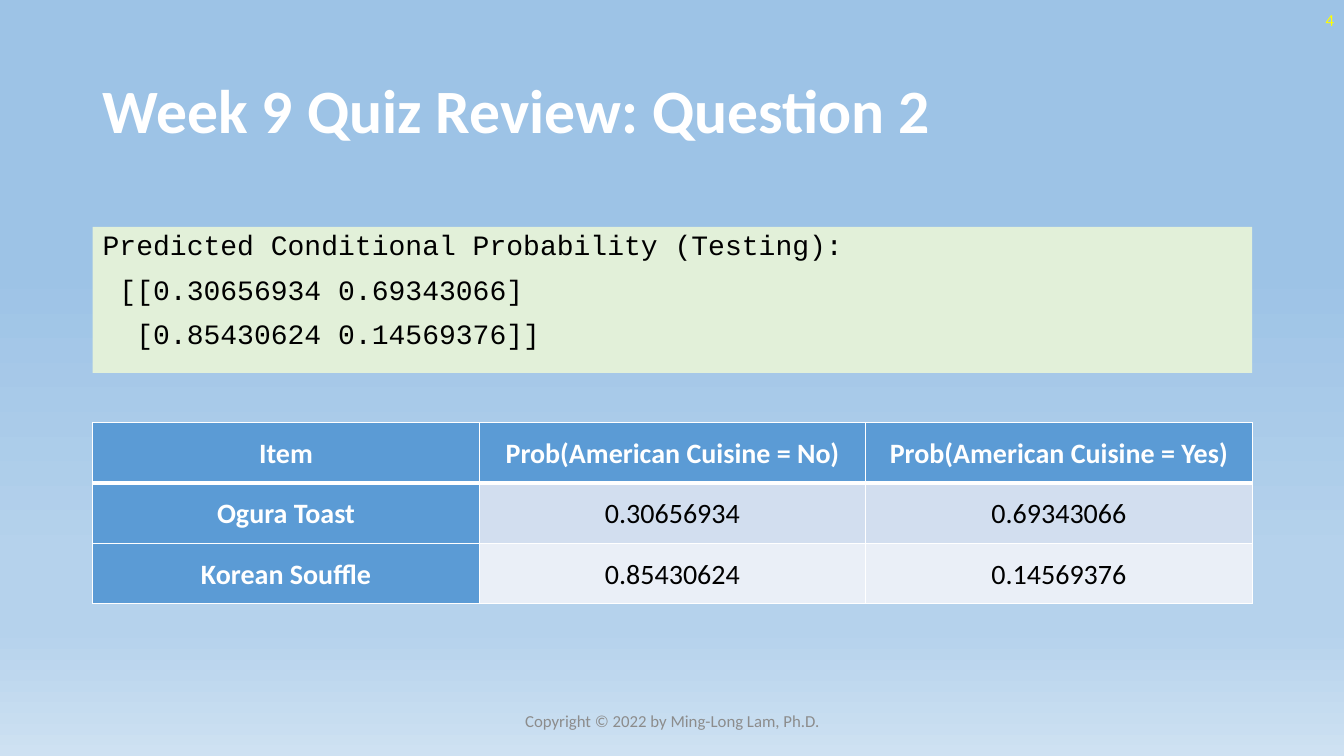
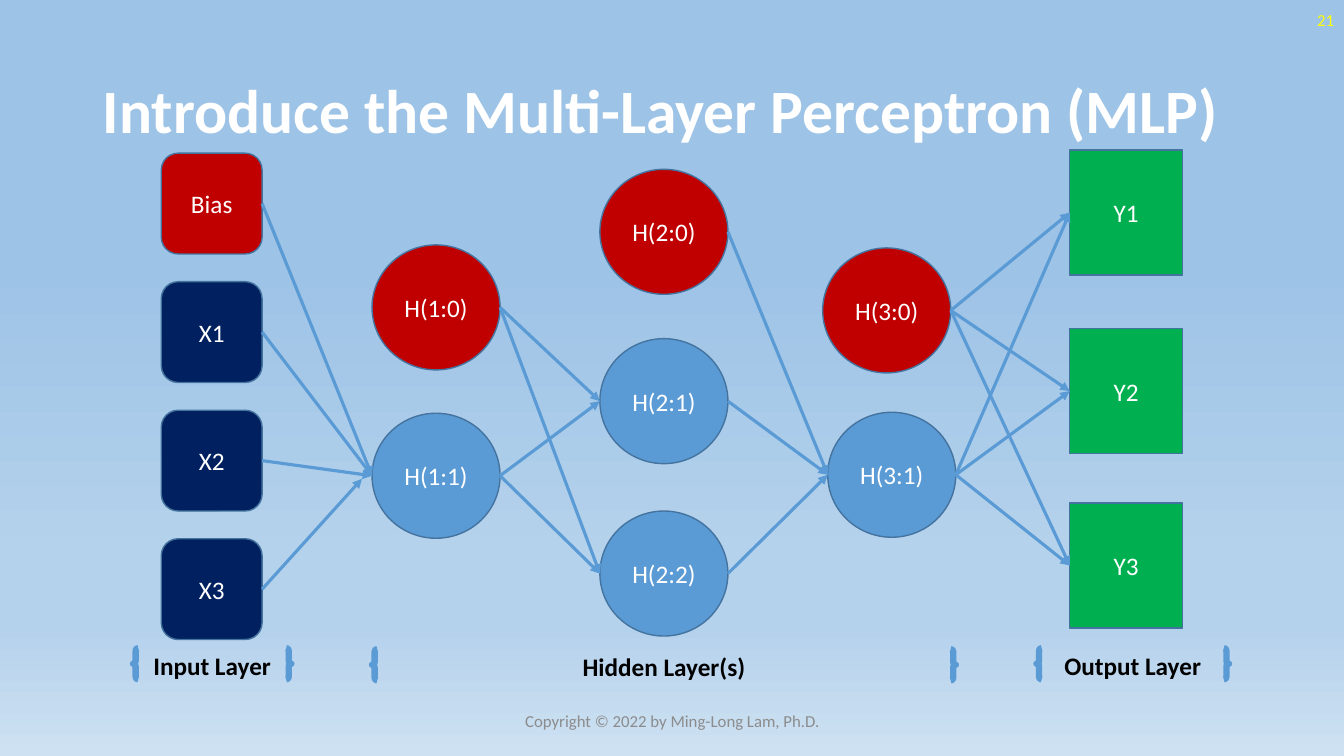
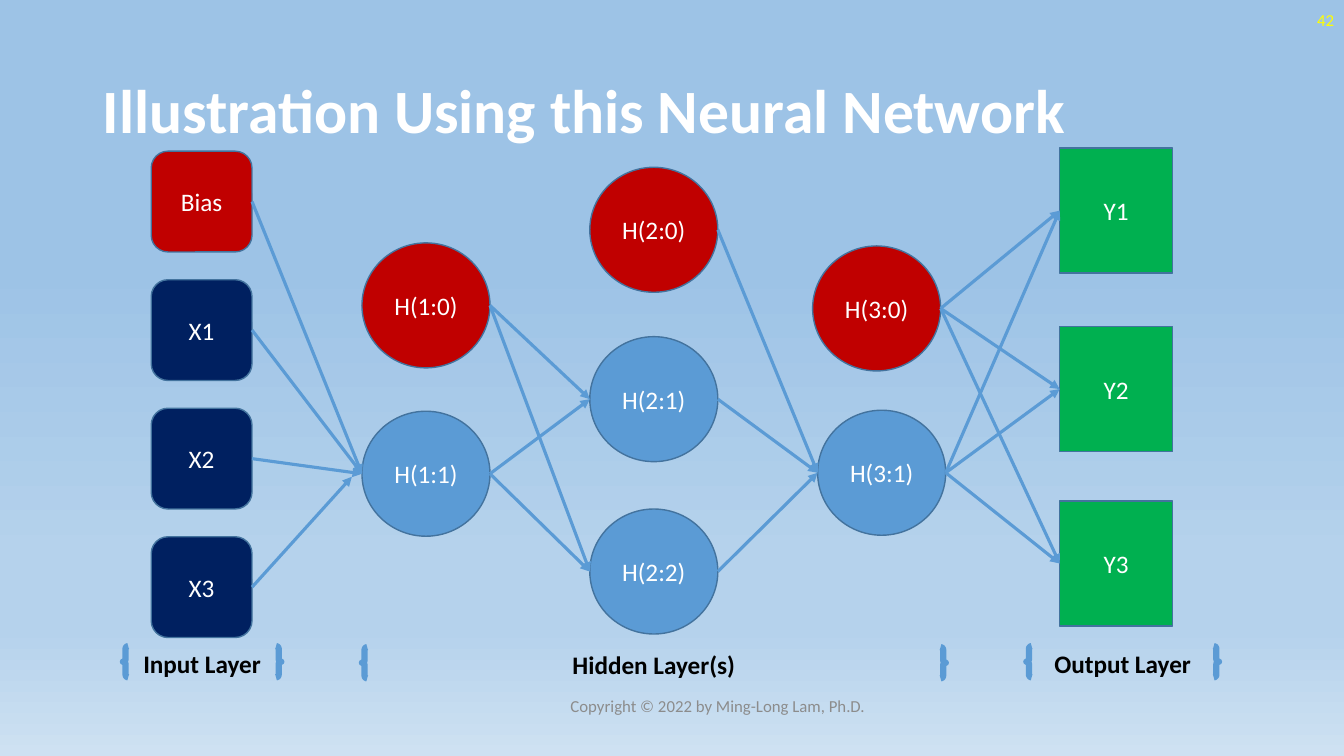
"""Build three lecture slides: a quiz table and two views of a multi-layer perceptron."""
from copy import deepcopy
from dataclasses import dataclass

from lxml.etree import SubElement
from pptx import Presentation
from pptx.dml.color import RGBColor
from pptx.enum.shapes import MSO_CONNECTOR as Link, MSO_SHAPE as Shape
from pptx.enum.text import MSO_ANCHOR as Anchor, PP_ALIGN as Align
from pptx.oxml.ns import qn
from pptx.util import Inches, Pt


@dataclass(frozen=True)
class Theme:
    font: str = "Calibri"
    code_font: str = "Courier New"
    white: str = "FFFFFF"
    black: str = "000000"
    number: str = "FFFF00"
    footer: str = "8C8C8C"
    blue: str = "5B9BD5"
    outline: str = "43739E"
    bias: str = "C00000"
    navy: str = "002060"
    green: str = "00B050"
    code_fill: str = "E2F0D9"
    bands: tuple = ("D2DEEF", "EAEFF7")
    backdrop: tuple = ((0.35, "9DC3E6"), (0.74, "B5D2EC"), (0.83, "B5D2EC"), (1, "CEE1F2"))
    title_size: int = 44
    body_size: int = 20
    node_size: int = 18
    small_size: int = 12


THEME = Theme()
COPYRIGHT = "Copyright © 2022 by Ming-Long Lam, Ph.D."
TITLE_AT = (0.92, 0.4, 11.5, 1.45)
NUMBER_AT = (10.33, 0, 3, 0.4)
FOOTER_AT = (4.42, 6.95, 4.5, 0.4)
CODE_AT = (0.92, 2.25, 11.5, 1.45)
TABLE_AT = (0.92, 4.19, 11.5, 1.8)

CODE = [
    "Predicted Conditional Probability (Testing):",
    " [[0.30656934 0.69343066]",
    "  [0.85430624 0.14569376]]",
]
PROBABILITIES = [
    ("Item", "Prob(American Cuisine = No)", "Prob(American Cuisine = Yes)"),
    ("Ogura Toast", "0.30656934", "0.69343066"),
    ("Korean Souffle", "0.85430624", "0.14569376"),
]

NODE_KINDS = {
    "input": (Shape.ROUNDED_RECTANGLE, 1, 1, THEME.navy),
    "hidden": (Shape.OVAL, 1.27, 1.24, THEME.blue),
    "output": (Shape.RECTANGLE, 1.12, 1.24, THEME.green),
}
INPUTS = ["Bias", "X1", "X2", "X3"]
OUTPUTS = ["Y1", "Y2", "Y3"]
NODES = {name: ("input", 1.6, 1.52 + 1.275 * row) for row, name in enumerate(INPUTS)}
NODES |= {
    "H(1:0)": ("hidden", 3.69, 2.43),
    "H(1:1)": ("hidden", 3.69, 4.1),
    "H(2:0)": ("hidden", 5.95, 1.68),
    "H(2:1)": ("hidden", 5.95, 3.36),
    "H(2:2)": ("hidden", 5.95, 5.07),
    "H(3:0)": ("hidden", 8.16, 2.46),
    "H(3:1)": ("hidden", 8.21, 4.09),
    "Y1": ("output", 10.61, 1.49),
    "Y2": ("output", 10.61, 3.26),
    "Y3": ("output", 10.61, 4.99),
}
BIASES = {"Bias", "H(1:0)", "H(2:0)", "H(3:0)"}
LAYER_LINKS = [
    (INPUTS, ["H(1:1)"]),
    (["H(1:0)", "H(1:1)"], ["H(2:1)", "H(2:2)"]),
    (["H(2:0)", "H(2:1)", "H(2:2)"], ["H(3:1)"]),
    (["H(3:0)", "H(3:1)"], OUTPUTS),
]
END_NUDGES = {("X3", "H(1:1)"): (-0.1, 0.03)}
LAYER_LABELS = [
    ("Input Layer", 1.32, 6.43, 1.57),
    ("Hidden Layer(s)", 3.69, 6.44, 5.79),
    ("Output Layer", 10.28, 6.43, 1.91),
]
NETWORK_SLIDES = [
    ("Introduce the Multi-Layer Perceptron (MLP)", 21, (0, 0), FOOTER_AT),
    ("Illustration Using this Neural Network", 42, (-0.1, -0.02), (4.87, 6.8, 4.5, 0.4)),
]


def rgb(value):
    return RGBColor.from_string(value)


def inches(values):
    return [Inches(value) for value in values]


def apply(target, formats):
    for name, value in formats.items():
        setattr(target, name, value)


def write(frame, lines, size, color, font=THEME.font, bold=False, anchor=Anchor.MIDDLE,
          wrap=True, first=None, later=None):
    apply(frame, {"word_wrap": wrap, "vertical_anchor": anchor})
    for index, line in enumerate(lines):
        para = frame.add_paragraph() if index else frame.paragraphs[0]
        apply(para, (first or {}) | ((later or {}) if index else {}))
        span = para.add_run()
        span.text = line
        apply(span.font, {"name": font, "size": Pt(size), "bold": bold})
        span.font.color.rgb = rgb(color)


def add_box(page, kind, at, fill=None, line=None, width=1):
    box = page.shapes.add_shape(kind, *inches(at))
    box.shadow.inherit = False
    if fill:
        box.fill.solid()
        box.fill.fore_color.rgb = rgb(fill)
    else:
        box.fill.background()
    if line:
        box.line.color.rgb = rgb(line)
        box.line.width = Pt(width)
    else:
        box.line.fill.background()
    return box


def add_note(page, text, at, color, align):
    box = page.shapes.add_textbox(*inches(at))
    write(box.text_frame, [text], THEME.small_size, color, first={"alignment": align})


def paint_backdrop(master):
    fill = master.background.fill
    fill.gradient()
    fill.gradient_angle = 270
    stops = master.element.find(".//" + qn("a:gsLst"))
    while len(stops) < len(THEME.backdrop):
        stops.append(deepcopy(stops[-1]))
    for stop, (position, color) in zip(fill.gradient_stops, THEME.backdrop):
        stop.position = position
        stop.color.rgb = rgb(color)


def add_page(deck, title, number, footer_at=FOOTER_AT):
    page = deck.slides.add_slide(deck.slide_layouts.get_by_name("Title Only"))
    heading = page.shapes.title
    apply(heading, dict(zip(("left", "top", "width", "height"), inches(TITLE_AT))))
    write(heading.text_frame, [title], THEME.title_size, THEME.white, bold=True,
          first={"alignment": Align.LEFT, "line_spacing": 0.9})
    add_note(page, str(number), NUMBER_AT, THEME.number, Align.RIGHT)
    add_note(page, COPYRIGHT, footer_at, THEME.footer, Align.CENTER)
    return page


def add_border(cell, side, width):
    edge = SubElement(cell._tc.get_or_add_tcPr(), qn(f"a:ln{side}"), w=str(Pt(width)))
    SubElement(SubElement(edge, qn("a:solidFill")), qn("a:srgbClr"), val=THEME.white)


def add_probabilities(page):
    rows, columns = len(PROBABILITIES), len(PROBABILITIES[0])
    table = page.shapes.add_table(rows, columns, *inches(TABLE_AT)).table
    margins = {"margin_left": Inches(0.07), "margin_right": Inches(0.07),
               "margin_top": 0, "margin_bottom": 0, "vertical_anchor": Anchor.MIDDLE}
    for row, values in enumerate(PROBABILITIES):
        for column, value in enumerate(values):
            cell = table.cell(row, column)
            heading = row == 0 or column == 0
            apply(cell, margins)
            write(cell.text_frame, [value], THEME.body_size,
                  THEME.white if heading else THEME.black, bold=heading,
                  first={"alignment": Align.CENTER, "line_spacing": 1.07})
            for side in "LRTB":
                below_header = (row, side) in {(0, "B"), (1, "T")}
                add_border(cell, side, 3 if below_header else 1)
            cell.fill.solid()
            cell.fill.fore_color.rgb = rgb(THEME.blue if heading else THEME.bands[row - 1])


def add_arrow(page, start, end):
    arrow = page.shapes.add_connector(Link.STRAIGHT, *inches((*start, *end)))
    arrow.line.color.rgb = rgb(THEME.blue)
    arrow.line.width = Pt(2.25)
    props = arrow.element.spPr
    SubElement(props.find(qn("a:ln")), qn("a:tailEnd"), type="triangle")
    SubElement(props, qn("a:effectLst"))


def add_network(page, shift):
    dx, dy = shift
    centred = {"alignment": Align.CENTER}
    inlets, outlets = {}, {}
    for name, (kind, x, y) in NODES.items():
        shape, width, height, color = NODE_KINDS[kind]
        left, top = x + dx, y + dy
        node = add_box(page, shape, (left, top, width, height),
                       THEME.bias if name in BIASES else color, THEME.outline)
        write(node.text_frame, [name], THEME.node_size, THEME.white, wrap=False, first=centred)
        inlets[name] = (left, top + height / 2)
        outlets[name] = (left + width, top + height / 2)
    for sources, targets in LAYER_LINKS:
        for source in sources:
            for target in targets:
                nudge = END_NUDGES.get((source, target), (0, 0))
                end = [place + step for place, step in zip(inlets[target], nudge)]
                add_arrow(page, outlets[source], end)
    for label, x, y, width in LAYER_LABELS:
        brace = add_box(page, Shape.DOUBLE_BRACE, (x + dx, y + dy, width, 0.31),
                        line=THEME.blue, width=4.5)
        write(brace.text_frame, [label], THEME.node_size, THEME.black, bold=True,
              wrap=False, first=centred)


def main():
    deck = Presentation()
    apply(deck, {"slide_width": Inches(13.33), "slide_height": Inches(7.5)})
    paint_backdrop(deck.slide_master)

    page = add_page(deck, "Week 9 Quiz Review: Question 2", 4)
    code = add_box(page, Shape.RECTANGLE, CODE_AT, THEME.code_fill)
    write(code.text_frame, CODE, THEME.body_size, THEME.black, THEME.code_font,
          anchor=Anchor.TOP, first={"alignment": Align.LEFT, "line_spacing": 0.9},
          later={"space_before": Pt(10)})
    add_probabilities(page)

    for title, number, shift, footer_at in NETWORK_SLIDES:
        add_network(add_page(deck, title, number, footer_at), shift)
    deck.save("out.pptx")


if __name__ == "__main__":
    main()
